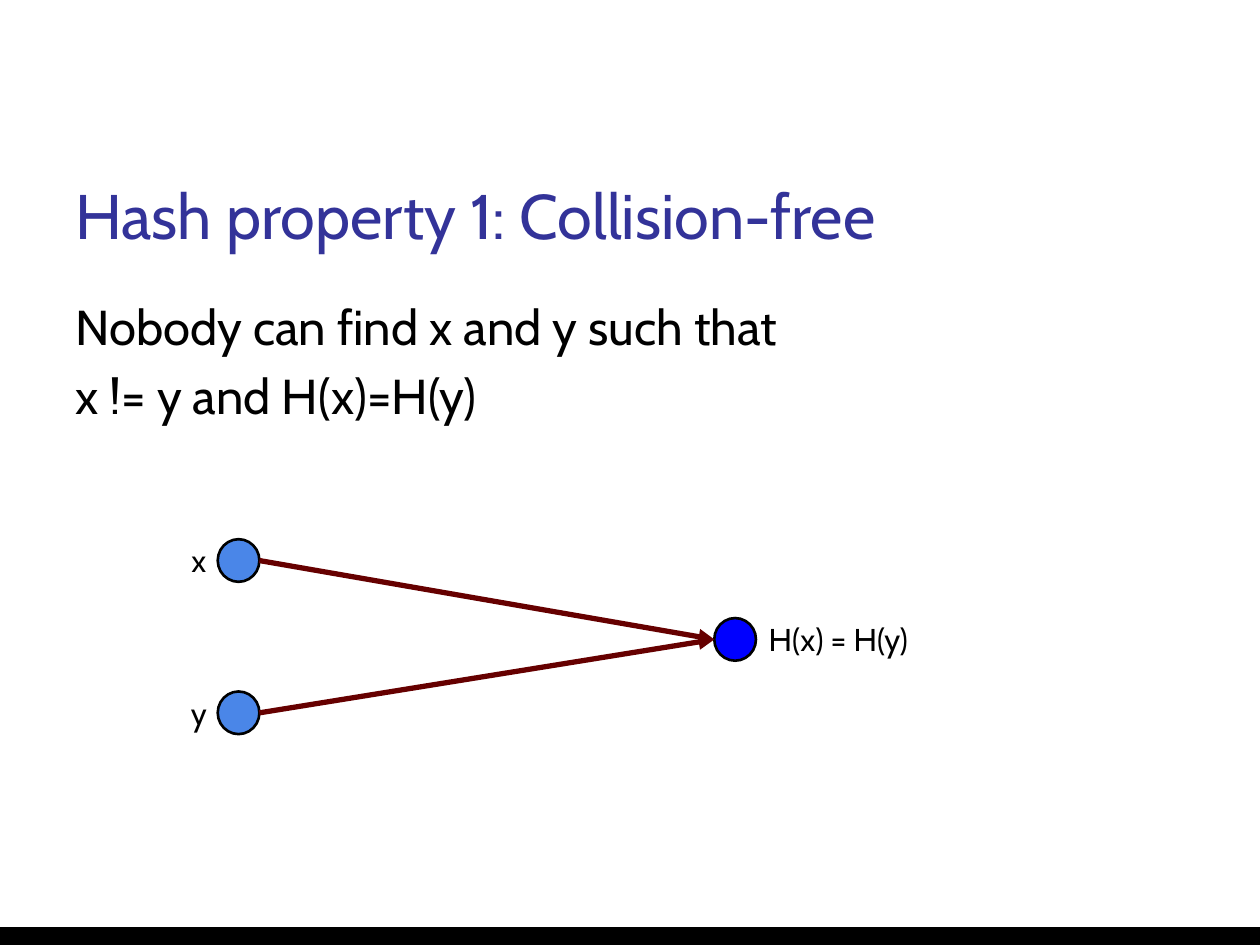
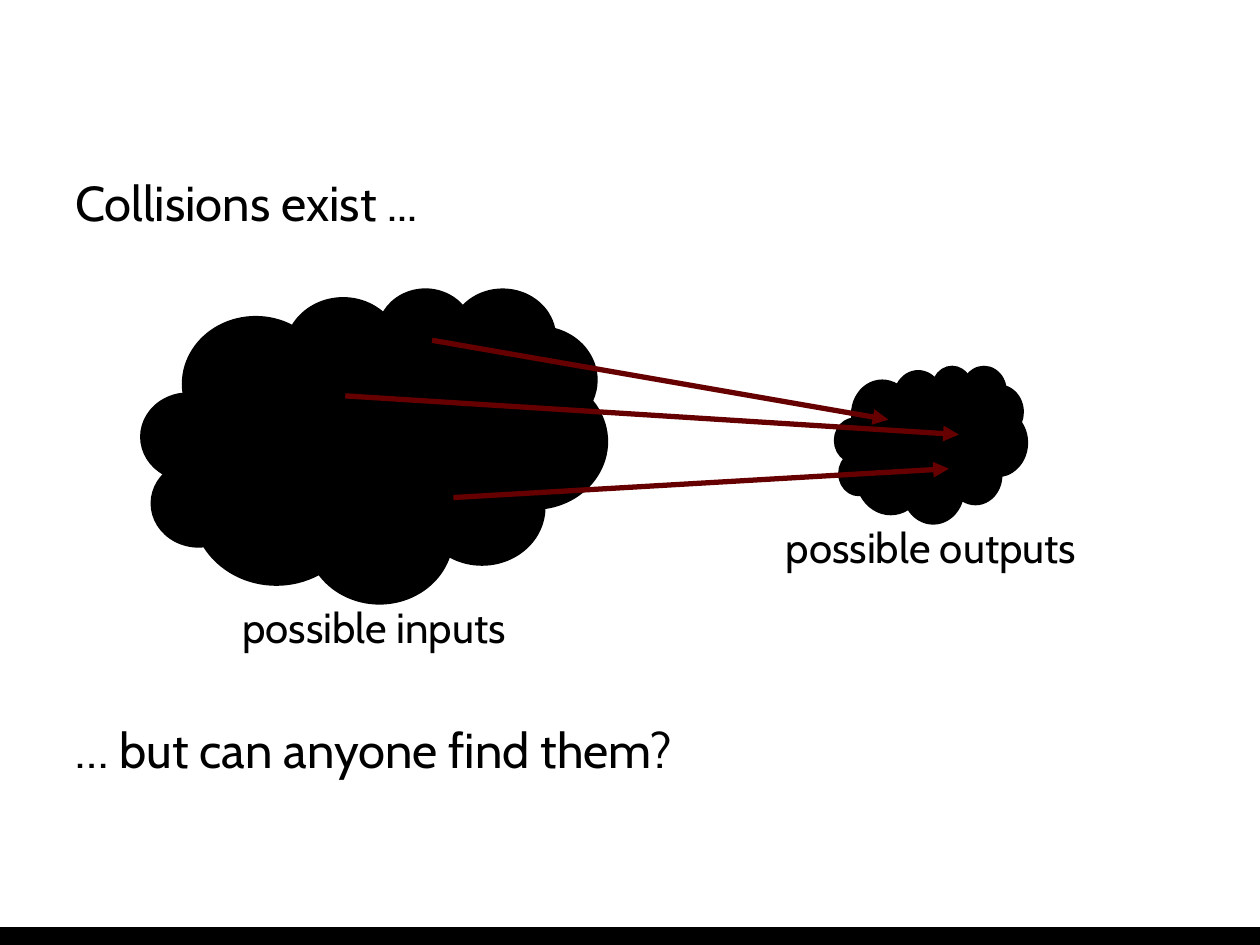
from lxml import etree
from pptx import Presentation
from pptx.dml.color import RGBColor
from pptx.enum import shapes, text
from pptx.oxml.ns import qn
from pptx.util import Cm, Pt

FONT = "Cabin"
BLACK = RGBColor(0, 0, 0)
TITLE_BLUE = RGBColor(0x33, 0x33, 0x99)
INPUT_BLUE = RGBColor(0x4A, 0x86, 0xE8)
OUTPUT_BLUE = RGBColor(0, 0, 0xFF)
ARROW_RED = RGBColor(0x66, 0, 0)

# All lengths are in centimetres.
PAGE_WIDTH, PAGE_HEIGHT = 25.4, 19.05
BAND_HEIGHT = 0.36
MARGIN = 1.27
CIRCLE_WIDTH, CIRCLE_HEIGHT = 0.84, 0.86
LABEL_HEIGHT = 1.27
LABEL_OVERLAP = 0.27

TITLE = "Hash property 1: Collision-free"
DEFINITION = ["Nobody can find x and y such that", "x != y and H(x)=H(y)"]
# label, circle centre, label centre x, label width
INPUTS = [("x", (4.81, 11.3), 4.01, 1.12), ("y", (4.81, 14.37), 4.01, 1.12)]
OUTPUT = ("H(x) = H(y)", (14.82, 12.89), 16.9, 3.89)

STATEMENTS = [("Collisions exist ...", 3.23), ("… but can anyone find them?", 14.25)]
# label, label width, cloud left, top, width, height
CLOUDS = [
    ("possible inputs", 6.48, (2.86, 5.82, 9.37, 6.32)),
    ("possible outputs", 7.16, (16.84, 7.39, 3.86, 3.15)),
]
MAPPINGS = [
    ((8.71, 6.86), (17.91, 8.46)),
    ((9.14, 10.03), (19.13, 9.45)),
    ((6.96, 7.98), (19.33, 8.76)),
]


def add_text(page, lines, left, top, width, height, size=28, color=BLACK,
             align=text.PP_ALIGN.LEFT, anchor=text.MSO_ANCHOR.TOP, gap=6):
    box = page.shapes.add_textbox(Cm(left), Cm(top), Cm(width), Cm(height))
    frame = box.text_frame
    frame.word_wrap = True
    frame.vertical_anchor = anchor
    frame.margin_left = frame.margin_right = Cm(0.25)
    frame.margin_top = frame.margin_bottom = Cm(0.25)
    for index, line in enumerate(lines):
        para = frame.add_paragraph() if index else frame.paragraphs[0]
        para.alignment = align
        para.space_before = Pt(gap if index else 0)
        span = para.add_run()
        span.text = line
        span.font.name = FONT
        span.font.size = Pt(size)
        span.font.color.rgb = color


def add_label(page, label, center, top, width, size):
    add_text(page, [label], center - width / 2, top, width, LABEL_HEIGHT,
             size=size, align=text.PP_ALIGN.CENTER)


def add_figure(page, kind, left, top, width, height, fill, outlined=True):
    figure = page.shapes.add_shape(kind, Cm(left), Cm(top), Cm(width), Cm(height))
    figure.shadow.inherit = False
    figure.fill.solid()
    figure.fill.fore_color.rgb = fill
    if outlined:
        figure.line.color.rgb = BLACK
        figure.line.width = Pt(1.5)
    else:
        figure.line.fill.background()


def add_arrow(page, start, end):
    arrow = page.shapes.add_connector(
        shapes.MSO_CONNECTOR.STRAIGHT, *(Cm(value) for value in (*start, *end)))
    arrow.line.color.rgb = ARROW_RED
    arrow.line.width = Pt(3)
    etree.SubElement(arrow.line._get_or_add_ln(), qn("a:tailEnd"), type="triangle")
    etree.SubElement(arrow._element.spPr, qn("a:effectLst"))


def add_value(page, value, fill):
    """Draw one hash input or output as a circle with its label."""
    label, (x, y), label_center, label_width = value
    add_figure(page, shapes.MSO_SHAPE.OVAL, x - CIRCLE_WIDTH / 2,
               y - CIRCLE_HEIGHT / 2, CIRCLE_WIDTH, CIRCLE_HEIGHT, fill)
    add_label(page, label, label_center, y - LABEL_HEIGHT / 2, label_width, 18)


def add_page(deck):
    """Add a blank page with the band along its foot."""
    page = deck.slides.add_slide(deck.slide_layouts[6])
    add_figure(page, shapes.MSO_SHAPE.RECTANGLE, 0, PAGE_HEIGHT - BAND_HEIGHT,
               PAGE_WIDTH, BAND_HEIGHT, BLACK, outlined=False)
    return page


def build_property_page(deck):
    page = add_page(deck)
    width = PAGE_WIDTH - 2 * MARGIN
    add_text(page, [TITLE], MARGIN, 2.95, width, 2.39, size=36,
             color=TITLE_BLUE, anchor=text.MSO_ANCHOR.BOTTOM)
    add_text(page, DEFINITION, MARGIN, 5.72, width, 10.34)
    for value in INPUTS:
        add_value(page, value, INPUT_BLUE)
    add_value(page, OUTPUT, OUTPUT_BLUE)
    output_x, output_y = OUTPUT[1]
    for _, (x, y), *_ in INPUTS:
        add_arrow(page, (x + CIRCLE_WIDTH / 2, y),
                  (output_x - CIRCLE_WIDTH / 2, output_y))


def build_collisions_page(deck):
    page = add_page(deck)
    for statement, top in STATEMENTS:
        add_text(page, [statement], MARGIN, top, PAGE_WIDTH - 2 * MARGIN, 2.41)
    for label, label_width, (left, top, width, height) in CLOUDS:
        add_figure(page, shapes.MSO_SHAPE.CLOUD, left, top, width, height, BLACK)
        add_label(page, label, left + width / 2, top + height - LABEL_OVERLAP,
                  label_width, 24)
    for start, end in MAPPINGS:
        add_arrow(page, start, end)


def main():
    deck = Presentation()
    deck.slide_width, deck.slide_height = Cm(PAGE_WIDTH), Cm(PAGE_HEIGHT)
    build_property_page(deck)
    build_collisions_page(deck)
    deck.save("out.pptx")


if __name__ == "__main__":
    main()
